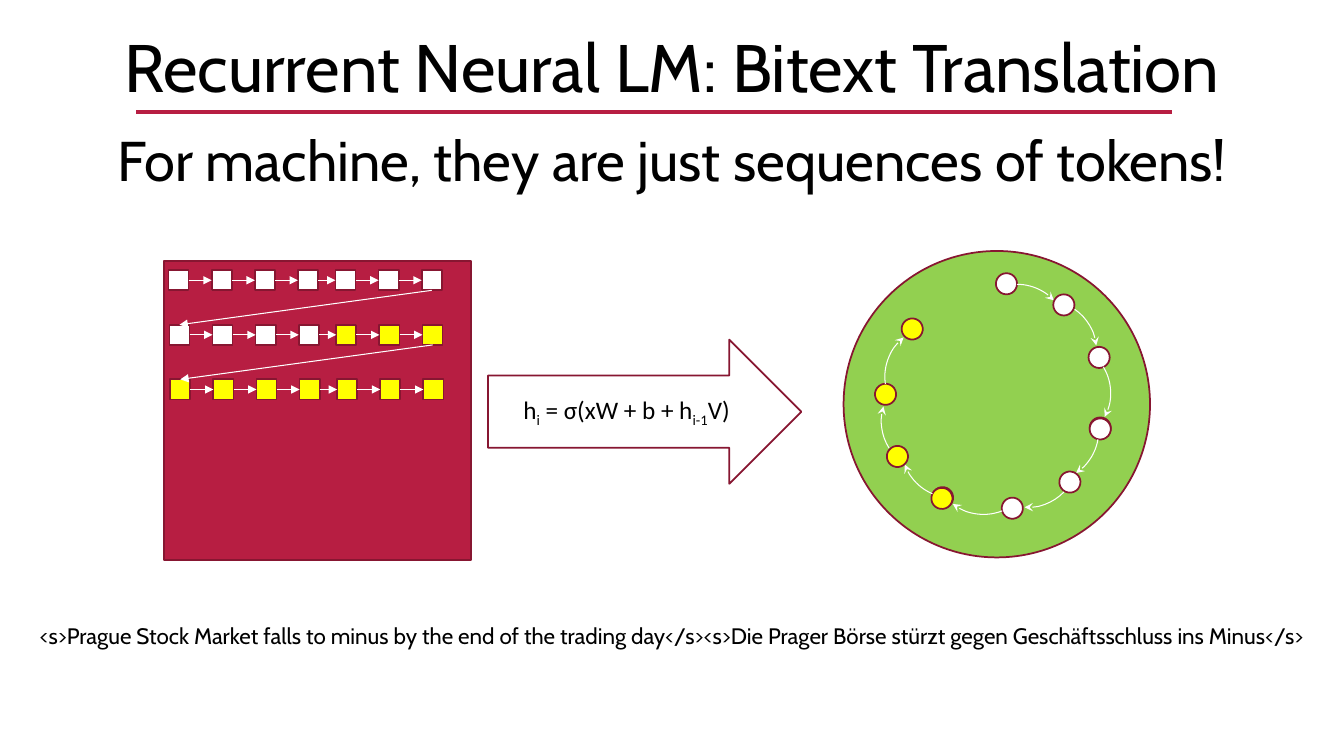
from math import cos, radians, sin

from pptx import Presentation
from pptx.dml.color import RGBColor
from pptx.enum.shapes import MSO_CONNECTOR, MSO_SHAPE
from pptx.enum.text import MSO_ANCHOR, MSO_AUTO_SIZE, PP_ALIGN
from pptx.oxml.ns import qn
from pptx.util import Pt
from lxml import etree

RECT, OVAL = MSO_SHAPE.RECTANGLE, MSO_SHAPE.OVAL
ARC, RIGHT_ARROW = MSO_SHAPE.ARC, MSO_SHAPE.RIGHT_ARROW
STRAIGHT = MSO_CONNECTOR.STRAIGHT
CENTER, MIDDLE = PP_ALIGN.CENTER, MSO_ANCHOR.MIDDLE
GROW = MSO_AUTO_SIZE.SHAPE_TO_FIT_TEXT
TOP, LEFT, BOTTOM, RIGHT = range(4)

COLORS = {"red": "B71E42", "outline": "871631", "green": "92D050",
          "white": "FFFFFF", "yellow": "FFFF00", "black": "000000"}

PAGE_WIDTH, PAGE_HEIGHT = 960, 540

# text, top, height, font size
HEADINGS = [
    ("Recurrent Neural LM: Bitext Translation", 14.4, 65.5, 48),
    ("<s>Prague Stock Market falls to minus by the end of the trading day</s>"
     "<s>Die Prager Börse stürzt gegen Geschäftsschluss ins Minus</s>",
     440.6, 26.6, 16),
    ("For machine, they are just sequences of tokens!", 86.4, 55.4, 40),
]
TITLE_RULE = (97.2, 79.9, 837.4, 79.9)

# text, is subscript
FORMULA = [("h", False), ("i", True), (" = σ(xW + b + h", False),
           ("i-1", True), ("V)", False)]

SOURCE_BOX = (117.4, 186.5, 218.9, 213.8)
STATE_CIRCLE = (602.6, 179.3, 218.9, 218.9)
FORMULA_ARROW = (348.5, 242.6, 223.9, 103)

# Token rows: number of white tokens, the rest are yellow
WHITE_TOKENS = [7, 4, 0]
TOKENS_PER_ROW = 7
TOKEN_SIZE, TOKEN_STEP = 14.4, 30.8
TOKEN_LEFT, TOKEN_TOP = 120.4, 193
ROW_SHIFT, ROW_STEP = 0.6, 39
TIGHT_COLUMN, TIGHT_BY = 4, 4

# Ring chains: centre of the first dot, rotation, colour
CHAINS = [((718.9, 202.7), 0, "white"),
          ((785.9, 306.4), 99.5, "white"),
          ((672.8, 356), 203.1, "yellow")]
DOT_SIZE, ARC_SIZE = 15.1, 72
DOT_OFFSETS = [(0, 0), (41, 15.1), (66.2, 52.6), (67, 103)]
# centre offset, start and end angle in degrees
ARCS = [((7.6, 36.4), 270, 316.98),
        ((28.4, 47.9), 304.51, 353.86),
        ((38.5, 78.1), 328.67, 28.07)]
ANGLE_UNIT = 0.6  # adjustment value per degree


def color(name):
    return RGBColor.from_string(COLORS[name])


def add_figure(page, kind, bounds, fill=None, line="outline", width=1.25):
    shape = page.shapes.add_shape(kind, *map(Pt, bounds))
    shape.shadow.inherit = False
    if fill:
        shape.fill.solid()
        shape.fill.fore_color.rgb = color(fill)
    else:
        shape.fill.background()
    shape.line.color.rgb = color(line)
    shape.line.width = Pt(width)
    return shape


def add_arrowhead(shape, kind):
    line = shape.line._get_or_add_ln()
    etree.SubElement(line, qn("a:tailEnd"), type=kind)


def add_line(page, ends, line, width):
    connector = page.shapes.add_connector(STRAIGHT, *map(Pt, ends))
    connector.line.color.rgb = color(line)
    connector.line.width = Pt(width)
    etree.SubElement(connector._element.spPr, qn("a:effectLst"))
    return connector


def join(page, start, start_side, end, end_side):
    connector = add_line(page, (0, 0, 0, 0), "white", 0.75)
    connector.begin_connect(start, start_side)
    connector.end_connect(end, end_side)
    add_arrowhead(connector, "triangle")


def add_span(para, text, size, font):
    span = para.add_run()
    span.text = text
    span.font.color.rgb = color("black")
    for name, value in {"size": Pt(size), "name": font}.items():
        setattr(span.font, name, value)
    return span


def add_heading(page, text, top, height, size):
    box = page.shapes.add_textbox(Pt(0), Pt(top), Pt(PAGE_WIDTH), Pt(height))
    for name, value in {"word_wrap": True, "auto_size": GROW}.items():
        setattr(box.text_frame, name, value)
    para = box.text_frame.paragraphs[0]
    para.alignment = CENTER
    add_span(para, text, size, "Cabin")


def add_formula_arrow(page):
    arrow = add_figure(page, RIGHT_ARROW, FORMULA_ARROW)
    arrow.text_frame.vertical_anchor = MIDDLE
    para = arrow.text_frame.paragraphs[0]
    para.alignment = CENTER
    for text, is_subscript in FORMULA:
        span = add_span(para, text, 18, "Calibri")
        if is_subscript:
            span.font._element.set("baseline", "-25000")


def add_token_rows(page):
    previous_last = None
    for row, white_count in enumerate(WHITE_TOKENS):
        tokens = []
        for column in range(TOKENS_PER_ROW):
            left = TOKEN_LEFT + row * ROW_SHIFT + column * TOKEN_STEP
            if column >= TIGHT_COLUMN:
                left -= TIGHT_BY
            fill = "white" if column < white_count else "yellow"
            bounds = (left, TOKEN_TOP + row * ROW_STEP, TOKEN_SIZE, TOKEN_SIZE)
            tokens.append(add_figure(page, RECT, bounds, fill))
        for start, end in zip(tokens, tokens[1:]):
            join(page, start, RIGHT, end, LEFT)
        if previous_last:
            join(page, previous_last, BOTTOM, tokens[0], TOP)
        previous_last = tokens[-1]


def turned_bounds(origin, offset, degrees, size):
    """Bounds of a square whose centre offset is turned about the origin."""
    turn = radians(degrees)
    across, down = offset
    center_x = origin[0] + across * cos(turn) - down * sin(turn)
    center_y = origin[1] + across * sin(turn) + down * cos(turn)
    return center_x - size / 2, center_y - size / 2, size, size


def add_chain(page, origin, degrees, fill):
    for index, dot_offset in enumerate(DOT_OFFSETS):
        bounds = turned_bounds(origin, dot_offset, degrees, DOT_SIZE)
        add_figure(page, OVAL, bounds, fill).rotation = degrees
        if index < len(ARCS):
            arc_offset, start, end = ARCS[index]
            bounds = turned_bounds(origin, arc_offset, degrees, ARC_SIZE)
            arc = add_figure(page, ARC, bounds, line="white", width=0.75)
            arc.rotation = degrees
            arc.adjustments[0] = start * ANGLE_UNIT
            arc.adjustments[1] = end * ANGLE_UNIT
            add_arrowhead(arc, "stealth")


def main():
    deck = Presentation()
    deck.slide_width, deck.slide_height = Pt(PAGE_WIDTH), Pt(PAGE_HEIGHT)
    page = deck.slides.add_slide(deck.slide_layouts[6])
    add_figure(page, OVAL, STATE_CIRCLE, "green")
    add_line(page, TITLE_RULE, "red", 2.5)
    add_figure(page, RECT, SOURCE_BOX, "red")
    add_token_rows(page)
    add_formula_arrow(page)
    for chain in CHAINS:
        add_chain(page, *chain)
    for heading in HEADINGS:
        add_heading(page, *heading)
    deck.save("out.pptx")


if __name__ == "__main__":
    main()
